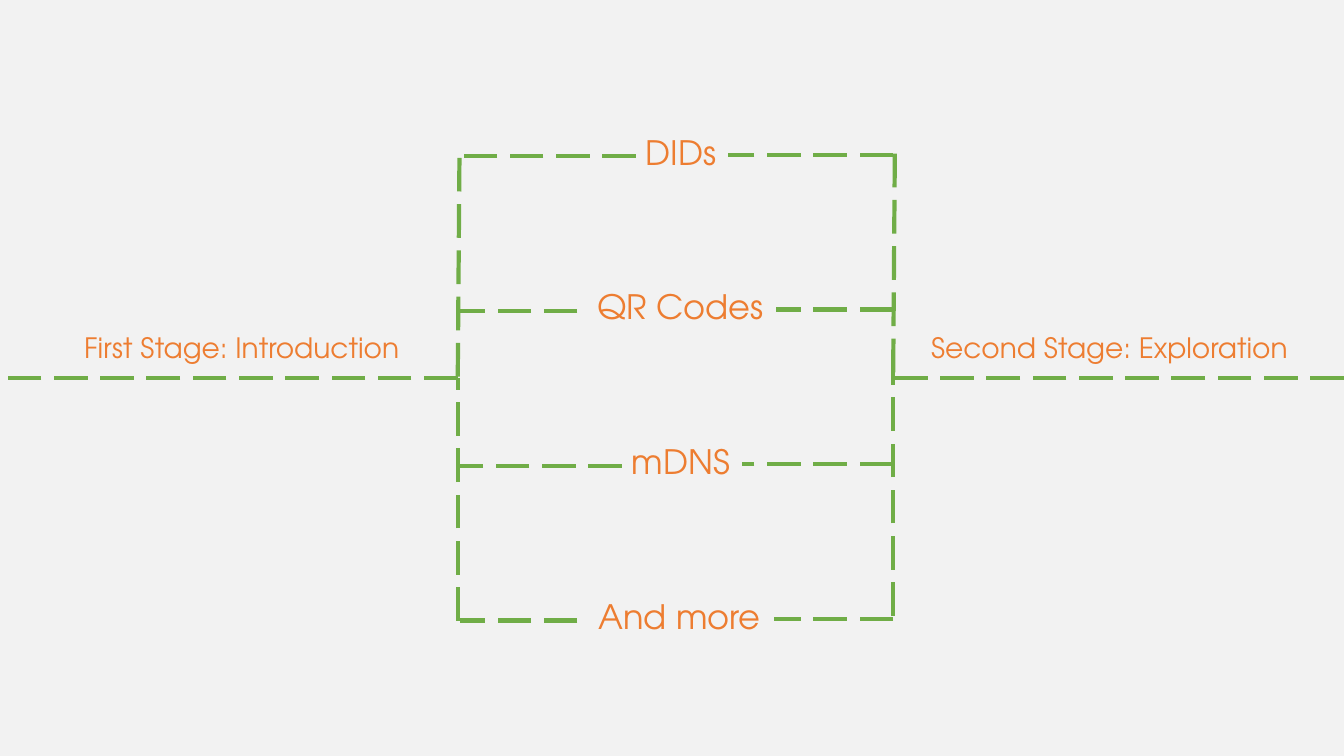
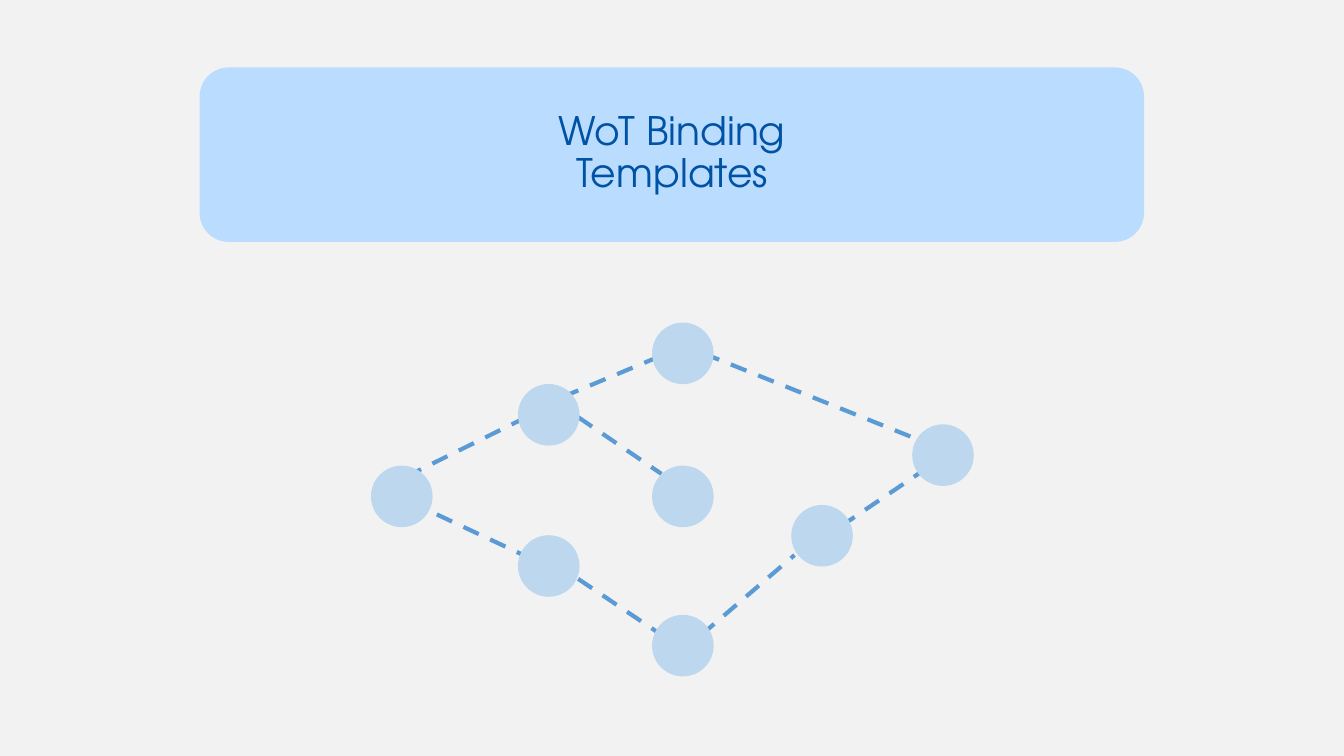
import pptx
import pptx.util
import pptx.dml.color
import pptx.enum.dml
import pptx.enum.shapes
import pptx.enum.text
import pptx.oxml.ns
import lxml.etree

Pt = pptx.util.Pt
RGBColor = pptx.dml.color.RGBColor
Dash = pptx.enum.dml.MSO_LINE
Shape = pptx.enum.shapes.MSO_SHAPE
Align = pptx.enum.text.PP_ALIGN
Anchor = pptx.enum.text.MSO_ANCHOR
AutoSize = pptx.enum.text.MSO_AUTO_SIZE

# Shared style
FONT = "TeX Gyre Adventor"
PAPER = RGBColor(0xF2, 0xF2, 0xF2)
ORANGE = RGBColor(0xED, 0x7D, 0x31)
GREEN = RGBColor(0x70, 0xAD, 0x47)
BAND = RGBColor(0xBA, 0xDC, 0xFF)
NAVY = RGBColor(0x00, 0x52, 0xA5)
BLUE = RGBColor(0x5B, 0x9B, 0xD5)
NODE = RGBColor(0xBD, 0xD7, 0xEE)
WIDTH, HEIGHT = 960, 540
TITLE_ONLY, BLANK = 5, 6

# Stages: label, left, width
STAGES = [
    ("First Stage: Introduction", 53, 242),
    ("Second Stage: Exploration", 658, 278),
]
# Branches: label, left, width, end of the line on its left
BRANCHES = [
    ("DIDs", 454.3, 65.5, 454.3),
    ("QR Codes", 419.8, 134.6, 412.5),
    ("mDNS", 444.2, 85.7, 444.2),
    ("And more", 420.5, 132.5, 412.5),
]
LEFT, RIGHT, MIDDLE = 327, 638, 270
BRANCH_TOP, BRANCH_STEP = 110.5, 110.6

# Network: node centres and link ends
TITLE = "WoT Binding\nTemplates"
NODE_SIZE = 44
NODES = [
    (287, 354.6), (392, 404.3), (392, 296.3), (487.8, 461.2),
    (487.8, 354.6), (487.8, 252.4), (587.2, 382.7), (673.6, 325.1),
]
LINKS = [
    (413, 298, 472.5, 338.5), (293, 358.5, 376, 397.5),
    (290, 340.5, 383, 294.5), (501, 453.5, 567.5, 396.5),
    (402, 283.5, 484.5, 249), (413, 413.5, 472.5, 453.5),
    (502.5, 252.5, 664.5, 317.5), (600.5, 376, 673, 327),
]


def add_slide(prs, layout):
    s = prs.slides.add_slide(prs.slide_layouts[layout])
    s.background.fill.solid()
    s.background.fill.fore_color.rgb = PAPER
    return s


def add_line(s, x1, y1, x2, y2, color, dash):
    line = s.shapes.add_connector(
        pptx.enum.shapes.MSO_CONNECTOR.STRAIGHT, Pt(x1), Pt(y1), Pt(x2), Pt(y2))
    line.line.color.rgb = color
    line.line.width = Pt(3)
    line.line.dash_style = dash
    lxml.etree.SubElement(line._element.spPr, pptx.oxml.ns.qn("a:effectLst"))


def add_shape(s, kind, x, y, w, h, color):
    sp = s.shapes.add_shape(kind, Pt(x), Pt(y), Pt(w), Pt(h))
    sp.shadow.inherit = False
    sp.fill.solid()
    sp.fill.fore_color.rgb = color
    sp.line.fill.background()
    return sp


def set_text(tf, text, size, color, align):
    tf.text = text
    tf.vertical_anchor = Anchor.MIDDLE
    for p in tf.paragraphs:
        p.alignment = align
        p.line_spacing = 0.9
        p.space_before = Pt(0)
        for r in p.runs:
            r.font.name = FONT
            r.font.size = Pt(size)
            r.font.color.rgb = color


def add_label(s, text, x, y, w, h, size):
    tf = s.shapes.add_textbox(Pt(x), Pt(y), Pt(w), Pt(h)).text_frame
    set_text(tf, text, size, ORANGE, Align.LEFT)
    tf.word_wrap = False
    tf.auto_size = AutoSize.SHAPE_TO_FIT_TEXT


def build_stages(prs):
    s = add_slide(prs, BLANK)
    for text, x, w in STAGES:
        add_label(s, text, x, 235.4, w, 28.8, 20)

    # Branches, with a line on each side of the label
    for i, (text, x, w, line_end) in enumerate(BRANCHES):
        y = BRANCH_TOP + i * BRANCH_STEP
        add_label(s, text, x, y - 17, w, 33.2, 24)
        add_line(s, line_end, y + 1, LEFT + 1.5, y + 1, GREEN, Dash.LONG_DASH)
        add_line(s, RIGHT, y, x + w, y, GREEN, Dash.LONG_DASH)

    # Uprights and the lines to the slide edges
    for x1, y1, x2, y2 in [
        (LEFT, MIDDLE - 1, LEFT + 1.2, 111.5),
        (LEFT, 443.5, LEFT, MIDDLE),
        (LEFT, MIDDLE, 0, MIDDLE),
        (RIGHT, MIDDLE - 4, RIGHT + 1.2, 108),
        (RIGHT, 440, RIGHT, MIDDLE - 4),
        (WIDTH, MIDDLE, RIGHT, MIDDLE),
    ]:
        add_line(s, x1, y1, x2, y2, GREEN, Dash.LONG_DASH)


def build_network(prs):
    s = add_slide(prs, TITLE_ONLY)

    # Title on its band
    band = add_shape(s, Shape.ROUNDED_RECTANGLE, 142.6, 48.2, 674.6, 124.6, BAND)
    title = s.shapes.title
    title._element.addprevious(band._element)
    title.left, title.top, title.width, title.height = Pt(165), Pt(66), Pt(630), Pt(88)
    set_text(title.text_frame, TITLE, 28, NAVY, Align.CENTER)

    # Links run behind the nodes
    for link in LINKS:
        add_line(s, *link, BLUE, Dash.DASH)
    for x, y in NODES:
        add_shape(s, Shape.OVAL, x - NODE_SIZE / 2, y - NODE_SIZE / 2,
                  NODE_SIZE, NODE_SIZE, NODE)


def main():
    prs = pptx.Presentation()
    prs.slide_width, prs.slide_height = Pt(WIDTH), Pt(HEIGHT)
    build_stages(prs)
    build_network(prs)
    prs.save("out.pptx")


if __name__ == "__main__":
    main()
